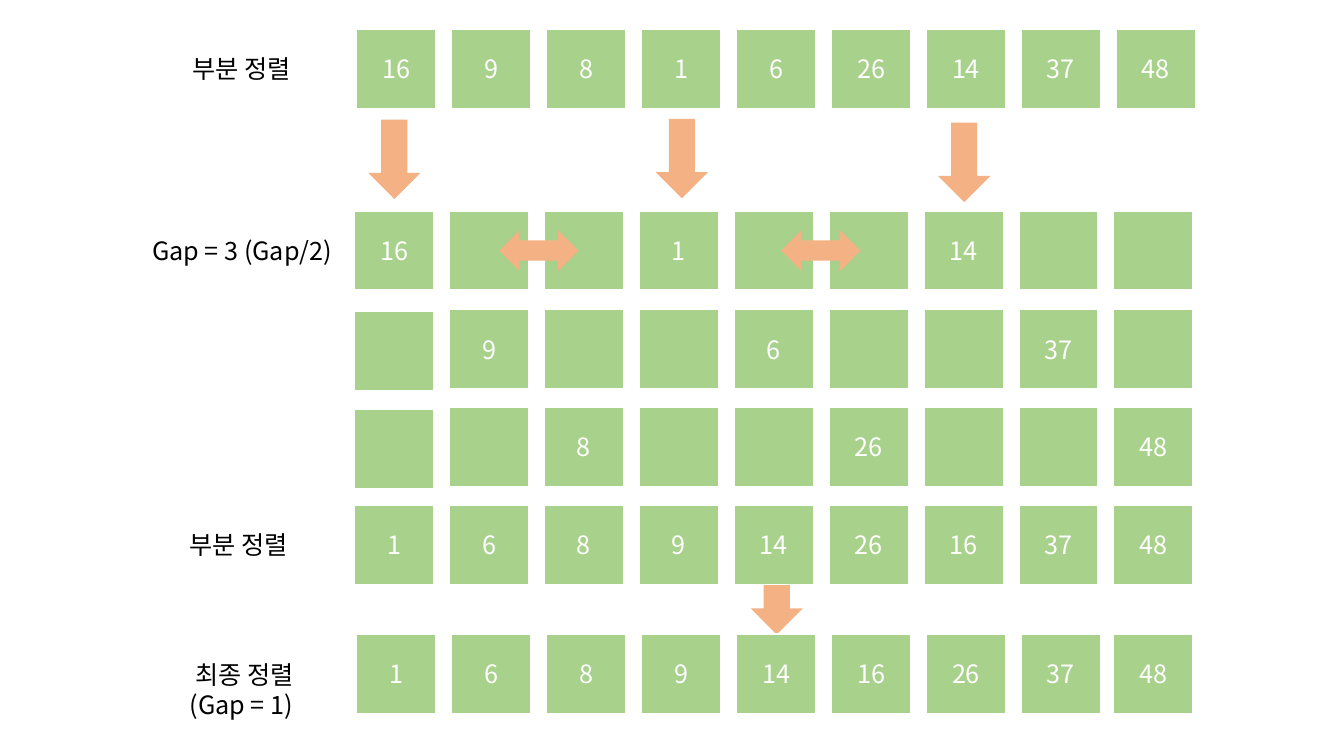
"""Builds a slide showing the last passes of a shell sort, gap 3 and then gap 1."""
from lxml.etree import SubElement
from pptx import Presentation
from pptx.dml.color import RGBColor
from pptx.enum.shapes import MSO_SHAPE as Shape
from pptx.enum.text import MSO_ANCHOR as Anchor, PP_ALIGN as Align
from pptx.oxml.ns import qn
from pptx.util import Pt

GREEN = RGBColor(0xA8, 0xD1, 0x8C)
ORANGE = RGBColor(0xF4, 0xB1, 0x83)
WHITE = RGBColor(0xFF, 0xFF, 0xFF)
BLACK = RGBColor(0x00, 0x00, 0x00)
FONT = "Noto Sans CJK KR"

ROWS = [
    (254.9, 20.9, [16, 9, 8, 1, 6, 26, 14, 37, 48]),
    (253.2, 150.6, [16, "", "", 1, "", "", 14, "", ""]),
    (253.2, 221, ["", 9, "", "", 6, "", "", 37, ""]),
    (253.2, 290.9, ["", "", 8, "", "", 26, "", "", 48]),
    (253.2, 360.8, [1, 6, 8, 9, 14, 26, 16, 37, 48]),
    (254.9, 452.9, [1, 6, 8, 9, 14, 16, 26, 37, 48]),
]
NUDGES = {(2, 0): (0, 1.5), (3, 0): (0, 1.5), (5, 8): (-1.8, 0)}
LABELS = [
    (105, 34.6, 139, 29, ["부분 정렬 "]),
    (98, 164.2, 150, 29, ["Gap = 3 (Gap/2)"]),
    (103, 374.4, 139, 29, ["부분 정렬 "]),
    (105, 467.3, 139, 51, ["최종 정렬", "(Gap = 1) "]),
]
DOWN_ARROWS = [(263, 85.5), (468.4, 85), (670, 87.7), (536.1, 396.5)]
SWAP_ARROWS = [(356.6, 164.5), (558, 164.5)]
CELL = 56.7
PITCH = 67.8
ARROW_WIDTH = 37.4
SWAP_HEIGHT = 29


def write(frame, lines, color):
    for number, line in enumerate(lines):
        para = frame.add_paragraph() if number else frame.paragraphs[0]
        para.text = line
        para.alignment = Align.CENTER
        font = para.font
        font.name, font.size, font.color.rgb = FONT, Pt(18), color
        properties = para._p.get_or_add_pPr().find(qn("a:defRPr"))
        SubElement(properties, qn("a:ea"), typeface=FONT)


def add_block(page, kind, left, top, width, height, color):
    block = page.shapes.add_shape(kind, Pt(left), Pt(top), Pt(width), Pt(height))
    block.shadow.inherit = False
    block.fill.solid()
    block.fill.fore_color.rgb = color
    block.line.fill.background()
    return block


def add_cell(page, left, top, value):
    cell = add_block(page, Shape.RECTANGLE, left, top, CELL, CELL, GREEN)
    cell.line.color.rgb = WHITE
    cell.line.width = Pt(1)
    if value != "":
        cell.text_frame.vertical_anchor = Anchor.MIDDLE
        write(cell.text_frame, [str(value)], WHITE)


def main():
    deck = Presentation()
    deck.slide_width, deck.slide_height = Pt(960), Pt(540)
    page = deck.slides.add_slide(deck.slide_layouts[6])
    for left, top, width, height, lines in LABELS:
        box = page.shapes.add_textbox(Pt(left), Pt(top), Pt(width), Pt(height))
        box.text_frame.word_wrap = True
        write(box.text_frame, lines, BLACK)
    for left, top in DOWN_ARROWS:
        add_block(page, Shape.DOWN_ARROW, left, top, ARROW_WIDTH, CELL, ORANGE)
    for row, (start, top, values) in enumerate(ROWS):
        for column, value in enumerate(values):
            across, down = NUDGES.get((row, column), (0, 0))
            add_cell(page, start + column * PITCH + across, top + down, value)
    for left, top in SWAP_ARROWS:
        add_block(page, Shape.LEFT_RIGHT_ARROW, left, top, CELL, SWAP_HEIGHT, ORANGE)
    deck.save("out.pptx")


if __name__ == "__main__":
    main()
